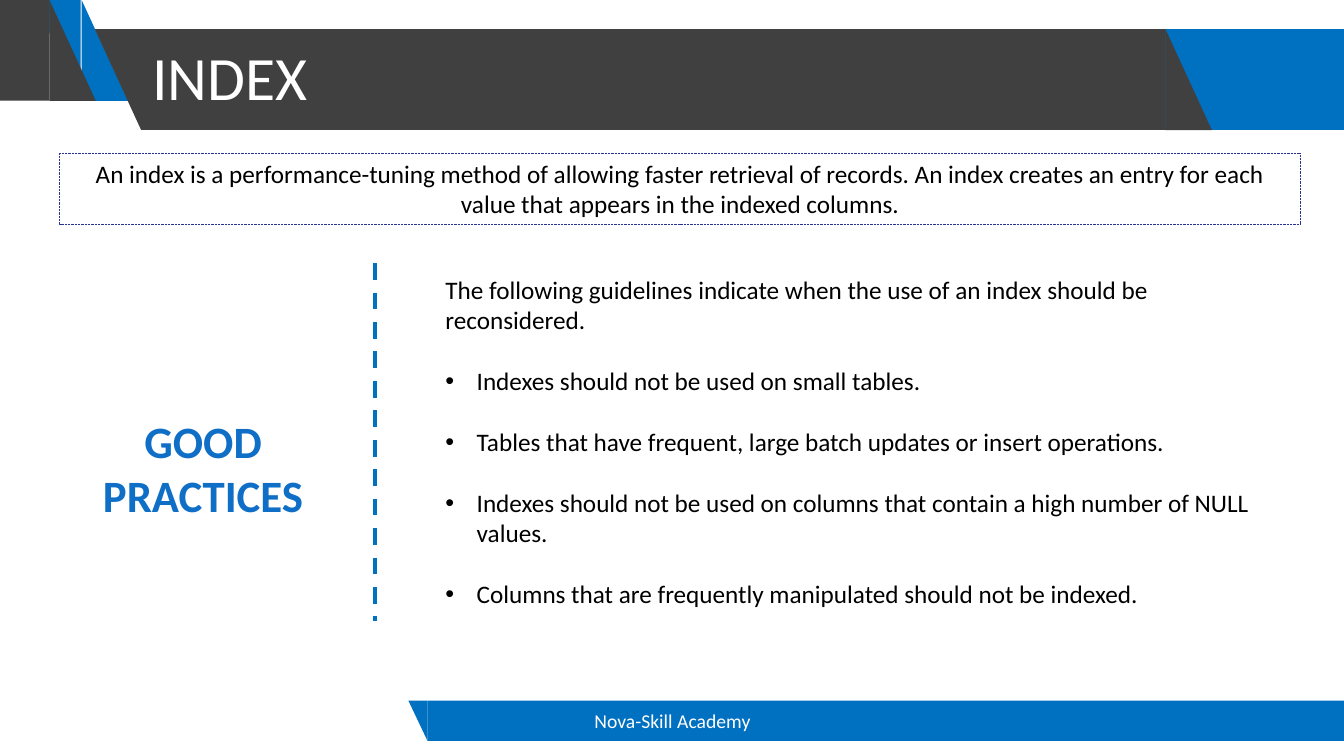
"""Build the INDEX slide: definition on top, good practices below."""
from dataclasses import dataclass

from lxml.etree import SubElement
from pptx import Presentation
from pptx.dml.color import RGBColor
from pptx.enum.dml import MSO_LINE
from pptx.enum.shapes import MSO_CONNECTOR, MSO_SHAPE
from pptx.enum.text import MSO_ANCHOR, MSO_AUTO_SIZE, PP_ALIGN
from pptx.oxml.ns import qn
from pptx.util import Inches, Pt


@dataclass(frozen=True)
class Theme:
    font: str = "Calibri"
    blue: str = "0070C0"
    gray: str = "404040"
    accent: str = "0F6FC6"
    border: str = "263393"
    white: str = "FFFFFF"
    black: str = "000000"
    title: int = 44
    heading: int = 32
    body: int = 18
    footer: int = 14


theme = Theme()


def write(p, text, size=theme.body, color=theme.black, bold=False,
          align=PP_ALIGN.LEFT, bullet=False, before=0):
    p.alignment = align
    p.space_before = Pt(before)
    if bullet:
        pPr = p._p.get_or_add_pPr()
        pPr.set("marL", str(Inches(0.31)))
        pPr.set("indent", str(-Inches(0.31)))
        SubElement(pPr, qn("a:buFont"), typeface="Arial")
        SubElement(pPr, qn("a:buChar"), char="•")
    r = p.add_run()
    r.text = text
    r.font.name = theme.font
    r.font.size = Pt(size)
    r.font.bold = bold
    r.font.color.rgb = RGBColor.from_string(color)


def add_text(s, box, anchor=MSO_ANCHOR.TOP):
    tf = s.shapes.add_textbox(*map(Inches, box)).text_frame
    tf.word_wrap = True
    tf.vertical_anchor = anchor
    return tf


prs = Presentation()
prs.slide_width, prs.slide_height = Inches(13.33), Inches(7.5)
s = prs.slides.add_slide(prs.slide_layouts[5])

RECT, WEDGE = MSO_SHAPE.RECTANGLE, MSO_SHAPE.RIGHT_TRIANGLE
bands = [
    (RECT, (10.68, 0.29, 2.65, 1), 0, theme.blue),
    (WEDGE, (0.81, 0, 0.46, 1), 0, theme.blue),
    (WEDGE, (0.34, 0, 0.46, 1), 180, theme.blue),
    (RECT, (0, 0, 0.49, 1), 0, theme.gray),
    (WEDGE, (0.49, 0, 0.46, 1), 0, theme.gray),
    (WEDGE, (0.94, 0.29, 0.46, 1), 180, theme.gray),
    (RECT, (1.4, 0.29, 10.16, 1), 0, theme.gray),
    (WEDGE, (11.56, 0.29, 0.46, 1), 0, theme.gray),
    (RECT, (4.24, 6.95, 9.09, 0.4), 0, theme.blue),
    (WEDGE, (4.05, 6.95, 0.19, 0.4), 180, theme.blue),
]
for kind, box, angle, color in bands:
    sp = s.shapes.add_shape(kind, *map(Inches, box))
    sp.rotation = angle
    sp.shadow.inherit = False
    sp.fill.solid()
    sp.fill.fore_color.rgb = RGBColor.from_string(color)
    sp.line.fill.background()

title = s.shapes.title
title.left, title.top, title.width, title.height = map(Inches, (1.41, 0.07, 10.14, 1.45))
title.element.getparent().append(title.element)
tf = title.text_frame
tf.auto_size = MSO_AUTO_SIZE.NONE
tf.vertical_anchor = MSO_ANCHOR.MIDDLE
tf.paragraphs[0].line_spacing = 0.9
write(tf.paragraphs[0], "INDEX", size=theme.title, color=theme.white)

tf = add_text(s, (4.42, 6.95, 4.5, 0.4), MSO_ANCHOR.MIDDLE)
write(tf.paragraphs[0], "Nova-Skill Academy", size=theme.footer, color=theme.white,
      align=PP_ALIGN.CENTER)

sp = s.shapes.add_shape(RECT, *map(Inches, (0.59, 1.52, 12.31, 0.71)))
sp.shadow.inherit = False
sp.fill.background()
sp.line.color.rgb = RGBColor.from_string(theme.border)
sp.line.width = Pt(0.5)
sp.line.dash_style = MSO_LINE.ROUND_DOT
tf = sp.text_frame
tf.word_wrap = True
tf.vertical_anchor = MSO_ANCHOR.TOP
write(tf.paragraphs[0],
      "An index is a performance-tuning method of allowing faster retrieval of records. "
      "An index creates an entry for each value that appears in the indexed columns.",
      align=PP_ALIGN.CENTER)

divider = s.shapes.add_connector(MSO_CONNECTOR.STRAIGHT, *map(Inches, (3.72, 2.61, 3.72, 6.16)))
divider.line.color.rgb = RGBColor.from_string(theme.blue)
divider.line.width = Pt(3)
divider.line.dash_style = MSO_LINE.DASH
SubElement(divider.element.spPr, qn("a:effectLst"))

tf = add_text(s, (0.31, 4.06, 3.41, 1.18))
write(tf.paragraphs[0], "GOOD PRACTICES", size=theme.heading, color=theme.accent,
      bold=True, align=PP_ALIGN.CENTER)

tf = add_text(s, (4.32, 2.67, 8.26, 3.43))
write(tf.paragraphs[0],
      "The following guidelines indicate when the use of an index should be reconsidered.")
guidelines = [
    "Indexes should not be used on small tables.",
    "Tables that have frequent, large batch updates or insert operations.",
    "Indexes should not be used on columns that contain a high number of NULL values.",
    "Columns that are frequently manipulated should not be indexed.",
]
for text in guidelines:
    write(tf.add_paragraph(), text, bullet=True, before=22)

prs.save("out.pptx")
